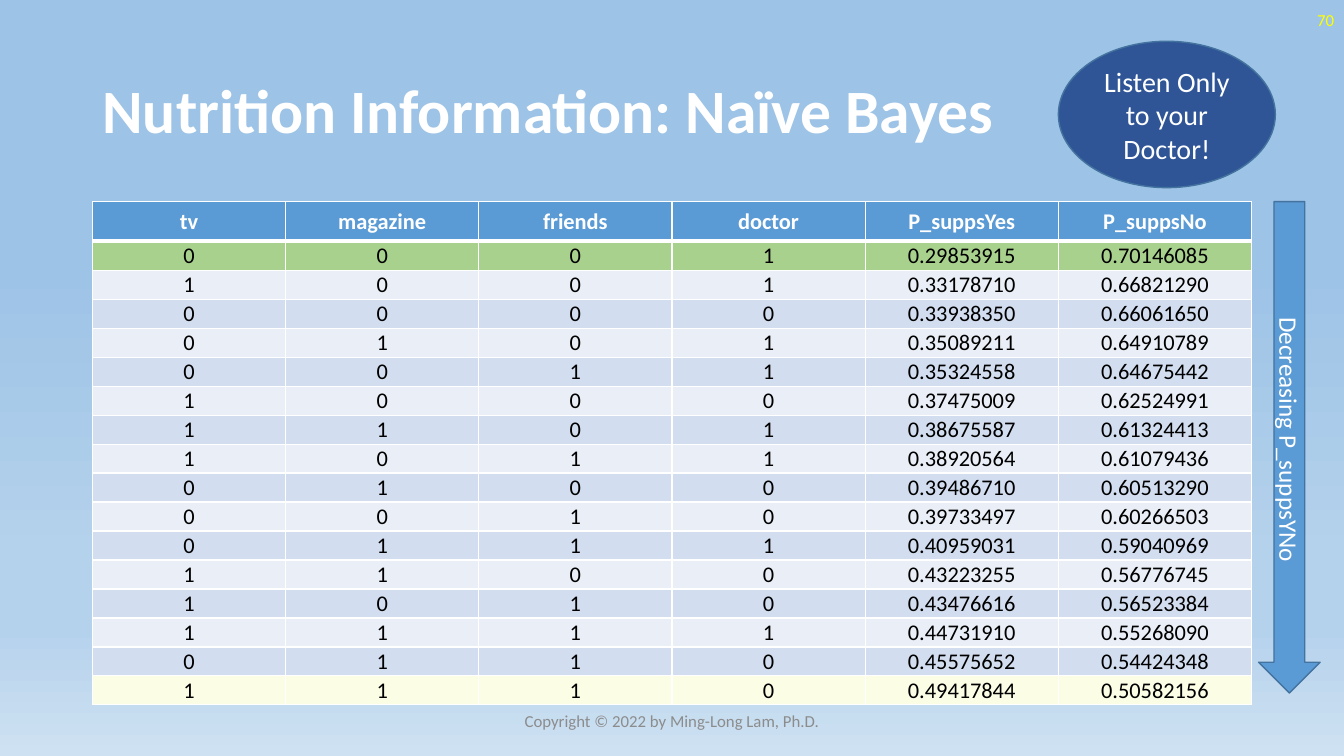
from lxml import etree
from pptx import Presentation
from pptx.dml.color import RGBColor
from pptx.enum.shapes import MSO_SHAPE
from pptx.enum.text import MSO_ANCHOR, MSO_AUTO_SIZE, PP_ALIGN
from pptx.oxml.ns import qn
from pptx.util import Pt

DOWN_ARROW, OVAL = MSO_SHAPE.DOWN_ARROW, MSO_SHAPE.OVAL
MIDDLE, NO_AUTOFIT = MSO_ANCHOR.MIDDLE, MSO_AUTO_SIZE.NONE
LEFT, CENTER, RIGHT = PP_ALIGN.LEFT, PP_ALIGN.CENTER, PP_ALIGN.RIGHT

FONT = "Calibri"
TITLE_ONLY = 5
COLORS = {
    "white": "FFFFFF", "black": "000000", "page": "FFFF00", "footer": "8C8C8C",
    "header": "5B9BD5", "outline": "43739E", "callout": "2F5597",
    "band_light": "EAEFF7", "band_dark": "D2DEEF",
    "first_row": "A9D18E", "last_row": "FBFDE5",
}
SKY_STOPS = [(35, "9DC3E6"), (74, "B5D2EC"), (83, "B5D2EC"), (100, "CEE1F2")]

HEADINGS = ["tv", "magazine", "friends", "doctor", "P_suppsYes", "P_suppsNo"]
# Flags for tv, magazine, friends and doctor, then the probability of "yes"
PREDICTIONS = [
    ("0001", 0.29853915), ("1001", 0.33178710), ("0000", 0.33938350),
    ("0101", 0.35089211), ("0011", 0.35324558), ("1000", 0.37475009),
    ("1101", 0.38675587), ("1011", 0.38920564), ("0100", 0.39486710),
    ("0010", 0.39733497), ("0111", 0.40959031), ("1100", 0.43223255),
    ("1010", 0.43476616), ("1111", 0.44731910), ("0110", 0.45575652),
    ("1110", 0.49417844),
]
HEADER_HEIGHT = 28.4
ROW_HEIGHT = 20.7


def rgb(name):
    return RGBColor.from_string(COLORS[name])


def write(frame, text, size, color, align=CENTER, bold=False):
    frame.text = text
    paragraph = frame.paragraphs[0]
    paragraph.alignment = align
    font = paragraph.runs[0].font
    font.name, font.size, font.bold = FONT, Pt(size), bold
    font.color.rgb = rgb(color)


def paint_sky(slide):
    fill = slide.background.fill
    fill.gradient()
    fill.gradient_angle = 270
    stops = slide.element.find(".//" + qn("a:gsLst"))
    for old_stop in list(stops):
        stops.remove(old_stop)
    for percent, color in SKY_STOPS:
        stop = etree.SubElement(stops, qn("a:gs"), pos=str(percent * 1000))
        etree.SubElement(stop, qn("a:srgbClr"), val=color)


def place_title(slide, box, text):
    title = slide.shapes.title
    title.left, title.top, title.width, title.height = map(Pt, box)
    frame = title.text_frame
    frame.auto_size, frame.vertical_anchor = NO_AUTOFIT, MIDDLE
    write(frame, text, 44, "white", LEFT, bold=True)
    frame.paragraphs[0].line_spacing = 0.9


def add_label(slide, box, text, color, align):
    frame = slide.shapes.add_textbox(*map(Pt, box)).text_frame
    frame.word_wrap, frame.vertical_anchor = True, MIDDLE
    write(frame, text, 12, color, align)


def add_captioned_shape(slide, box, preset, fill, text, size):
    shape = slide.shapes.add_shape(preset, *map(Pt, box))
    shape.shadow.inherit = False
    shape.fill.solid()
    shape.fill.fore_color.rgb = rgb(fill)
    shape.line.color.rgb = rgb("outline")
    shape.line.width = Pt(1)
    shape.text_frame.vertical_anchor = MIDDLE
    write(shape.text_frame, text, size, "white")
    return shape


def add_trend_arrow(slide, box, text):
    arrow = add_captioned_shape(slide, box, DOWN_ARROW, "header", text, 18)
    arrow.text_frame._txBody.find(qn("a:bodyPr")).set("vert", "vert")


def set_borders(cell, top, bottom):
    properties = cell._tc.get_or_add_tcPr()
    for side, width in (("L", 1), ("R", 1), ("T", top), ("B", bottom)):
        line = etree.SubElement(properties, qn("a:ln" + side), w=str(Pt(width)))
        solid = etree.SubElement(line, qn("a:solidFill"))
        etree.SubElement(solid, qn("a:srgbClr"), val=COLORS["white"])


def row_fill(index, last):
    special = {0: "header", 1: "first_row", last: "last_row"}
    return special.get(index, "band_dark" if index % 2 else "band_light")


def add_predictions(slide, box):
    rows = [HEADINGS] + [
        [*flags, f"{yes:.8f}", f"{1 - yes:.8f}"] for flags, yes in PREDICTIONS
    ]
    table = slide.shapes.add_table(len(rows), len(HEADINGS), *map(Pt, box)).table
    for column in table.columns:
        column.width = Pt(box[2] / len(HEADINGS))
    for index, values in enumerate(rows):
        is_header = index == 0
        table.rows[index].height = Pt(HEADER_HEIGHT if is_header else ROW_HEIGHT)
        for cell, value in zip(table.rows[index].cells, values):
            cell.margin_left = cell.margin_right = cell.margin_top = Pt(0.75)
            cell.margin_bottom = 0
            cell.vertical_anchor = MIDDLE
            set_borders(cell, 3 if index == 1 else 1, 3 if is_header else 1)
            cell.fill.solid()
            cell.fill.fore_color.rgb = rgb(row_fill(index, len(rows) - 1))
            write(cell.text_frame, value, 16,
                  "white" if is_header else "black", bold=is_header)


def build_slide(presentation):
    slide = presentation.slides.add_slide(presentation.slide_layouts[TITLE_ONLY])
    paint_sky(slide)
    place_title(slide, (66, 28.75, 828, 104.4), "Nutrition Information: Naïve Bayes")
    add_label(slide, (744, 0, 216, 28.75), "70", "page", RIGHT)
    add_predictions(slide, (66, 144, 828, HEADER_HEIGHT + ROW_HEIGHT * len(PREDICTIONS)))
    add_trend_arrow(slide, (899, 144, 44, 351), "Decreasing P_suppsYNo")
    add_captioned_shape(slide, (756, 29.5, 155, 104.5), OVAL, "callout",
                        "Listen Only to your Doctor!", 20)
    add_label(slide, (318, 500.5, 324, 28.75),
              "Copyright © 2022 by Ming-Long Lam, Ph.D.", "footer", CENTER)


def main():
    presentation = Presentation()
    presentation.slide_width, presentation.slide_height = Pt(960), Pt(540)
    build_slide(presentation)
    presentation.save("out.pptx")


if __name__ == "__main__":
    main()
